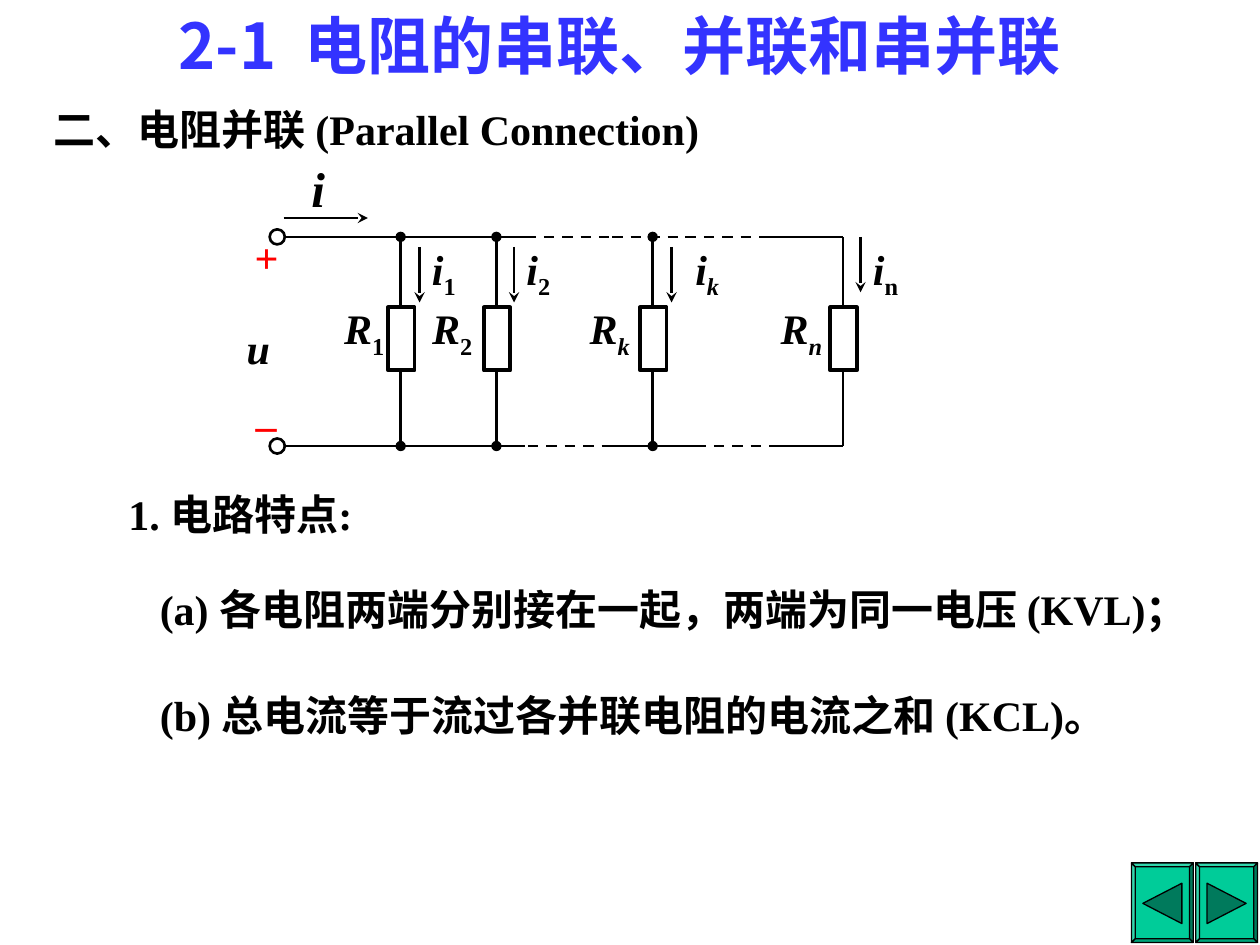
from pptx import Presentation
from pptx.dml.color import RGBColor
from pptx.enum.dml import MSO_LINE
from pptx.enum.shapes import MSO_CONNECTOR, MSO_SHAPE
from pptx.enum.text import MSO_ANCHOR, MSO_AUTO_SIZE, PP_ALIGN
from pptx.oxml.ns import qn
from pptx.util import Inches, Pt
from lxml.etree import SubElement

CJK, ROMAN = "Noto Sans CJK SC", "Times New Roman"
BLACK, WHITE, RED, BLUE = "000000", "FFFFFF", "FF0000", "3333FF"
TOP, BOTTOM = 1.88, 3.54  # the two rails of the circuit

TITLE = "2-1  电阻的串联、并联和串并联"
BODY = [  # text, left, top, width
    ("二、电阻并联 (Parallel Connection)", 0.33, 0.77, 7.17),
    ("1. 电路特点:", 0.92, 3.83, 2.25),
    ("(a) 各电阻两端分别接在一起，两端为同一电压 (KVL)；", 1.17, 4.58, 8.5),
    ("(b) 总电流等于流过各并联电阻的电流之和 (KCL)。", 1.17, 5.42, 8.25),
]
# x, subscript, R left, i left, arrow x, arrow top, dots, italic R and i subscripts
BRANCHES = [
    (3.18, "1", 2.59, 3.33, 3.33, 1.96, True, False, False),
    (3.94, "2", 3.29, 4.08, 4.08, 1.96, True, False, False),
    (5.18, "k", 4.54, 5.42, 5.33, 1.96, True, True, True),
    (6.69, "n", 6.06, 6.83, 6.83, 1.88, False, True, False),
]
WIRES = [  # from x, to x, y, dashed
    (2.25, 4.17, TOP, False),
    (4.17, 4.83, TOP, True),
    (4.86, 5.52, TOP, True),
    (5.44, 6.11, TOP, True),
    (6.11, 6.69, TOP, False),
    (2.25, 4.17, BOTTOM, False),
    (4.19, 4.86, BOTTOM, True),
    (4.86, 5.52, BOTTOM, False),
    (5.52, 6.19, BOTTOM, True),
    (6.11, 6.69, BOTTOM, False),
]
SIGNS = [  # text, left, top, width, height, format
    ("i", 2.37, 1.21, 0.31, 0.57, dict(size=28, italic=True)),
    ("+", 1.92, 1.79, 0.39, 0.5, dict(color=RED)),
    ("u", 1.86, 2.51, 0.38, 0.5, dict(italic=True)),
]
BUTTONS = [  # left edge, arrow points relative to it
    (8.98, [(0.09, 0.32), (0.4, 0.16), (0.4, 0.48)]),
    (9.49, [(0.09, 0.16), (0.4, 0.32), (0.09, 0.48)]),
]
FACE, LIGHT, SHADE, DARK = "00CC99", "33D6AD", "00A37A", "007A5C"

prs = Presentation()
prs.slide_width, prs.slide_height = Inches(10), Inches(7.5)
slide = prs.slides.add_slide(prs.slide_layouts[6])
shapes = slide.shapes


def rgb(code):
    return RGBColor.from_string(code)


def text(words, left, top, width, height=0.5, size=24, color=BLACK, font=ROMAN,
         italic=False, sub="", slant=False, center=False, wrap=False):
    """Add a bold text box; sub is a subscript, italic if slant is set."""
    box = shapes.add_textbox(*map(Inches, (left, top, width, height)))
    frame = box.text_frame
    frame.word_wrap = wrap
    frame.auto_size = MSO_AUTO_SIZE.SHAPE_TO_FIT_TEXT
    par = frame.paragraphs[0]
    if center:
        frame.vertical_anchor = MSO_ANCHOR.MIDDLE
        par.alignment = PP_ALIGN.CENTER
    for part, lean in ((words, italic), (sub, slant)):
        if not part:
            continue
        run = par.add_run()
        run.text = part
        run.font.size, run.font.name = Pt(size), font
        run.font.bold, run.font.italic = True, lean
        run.font.color.rgb = rgb(color)
        props = run.font._element
        SubElement(props, qn("a:ea")).set("typeface", CJK)
        if part is sub:
            props.set("baseline", "-25000")


def line(x1, y1, x2, y2, dash=False, head=None, tail=None):
    wire = shapes.add_connector(MSO_CONNECTOR.STRAIGHT,
                                *map(Inches, (x1, y1, x2, y2)))
    wire.line.width = Pt(1.5)
    wire.line.color.rgb = rgb(BLACK)
    if dash:
        wire.line.dash_style = MSO_LINE.DASH
    ln = wire.line._get_or_add_ln()
    for tag, kind in (("a:headEnd", head), ("a:tailEnd", tail)):
        if kind:
            SubElement(ln, qn(tag)).set("type", kind)
    SubElement(wire._element.spPr, qn("a:effectLst"))


def paint(shape, fill, width):
    shape.shadow.inherit = False
    if fill:
        shape.fill.solid()
        shape.fill.fore_color.rgb = rgb(fill)
    else:
        shape.fill.background()
    shape.line.width = Pt(width)
    shape.line.color.rgb = rgb(BLACK)


def shape(kind, left, top, width, height, fill, weight):
    item = shapes.add_shape(kind, *map(Inches, (left, top, width, height)))
    paint(item, fill, weight)


def poly(points, fill):
    spots = [(Inches(x), Inches(y)) for x, y in points]
    pen = shapes.build_freeform(*spots[0])
    pen.add_line_segments(spots[1:], close=True)
    paint(pen.convert_to_shape(), fill, 0.75)


def button(left, arrow):
    """Draw a bevelled button: a face, four edges and an arrow."""
    top, wide, high, rim = 6.85, 0.49, 0.63, 0.03

    def ring(gap):
        x1, x2 = left + gap, left + wide - gap
        y1, y2 = top + gap, top + high - gap
        return [(x1, y1), (x2, y1), (x2, y2), (x1, y2)]

    outer, inner = ring(0), ring(rim)
    poly(outer, FACE)
    for n, fill in enumerate((LIGHT, DARK, SHADE, LIGHT)):
        m = (n + 1) % 4
        poly([outer[n], outer[m], inner[m], inner[n]], fill)
    poly([(left + x, top + y) for x, y in arrow], DARK)


for left, arrow in BUTTONS:
    button(left, arrow)

for x1, x2, y, dash in WIRES:
    line(x1, y, x2, y, dash=dash)
line(2.25, 1.73, 2.92, 1.73, tail="stealth")

for x, sub, rleft, ileft, ax, ay, dots, rslant, islant in BRANCHES:
    end = "oval" if dots else None
    line(x, BOTTOM, x, TOP, head=end, tail=end)
    shape(MSO_SHAPE.RECTANGLE, x - 0.1, 2.44, 0.21, 0.5, WHITE, 2.25)
    line(ax, ay, ax, ay + 0.44, tail="stealth")
    text("R", rleft, 2.35, 0.6, 0.56, italic=True, sub=sub, slant=rslant,
         center=True)
    text("i", ileft, 1.88, 0.56, 0.56, italic=True, sub=sub, slant=islant,
         wrap=True)

for y in (TOP, BOTTOM):
    shape(MSO_SHAPE.OVAL, 2.14, y - 0.06, 0.12, 0.12, None, 1.5)
for words, left, top, width, height, form in SIGNS:
    text(words, left, top, width, height, center=True, **form)
text("_", 1.93, 3, 0.36, color=RED)

for words, left, top, width in BODY:
    text(words, left, top, width, wrap=True)
text(TITLE, 1.32, 0, 7.57, 0.7, size=36, color=BLUE, font=CJK)

prs.save("out.pptx")
